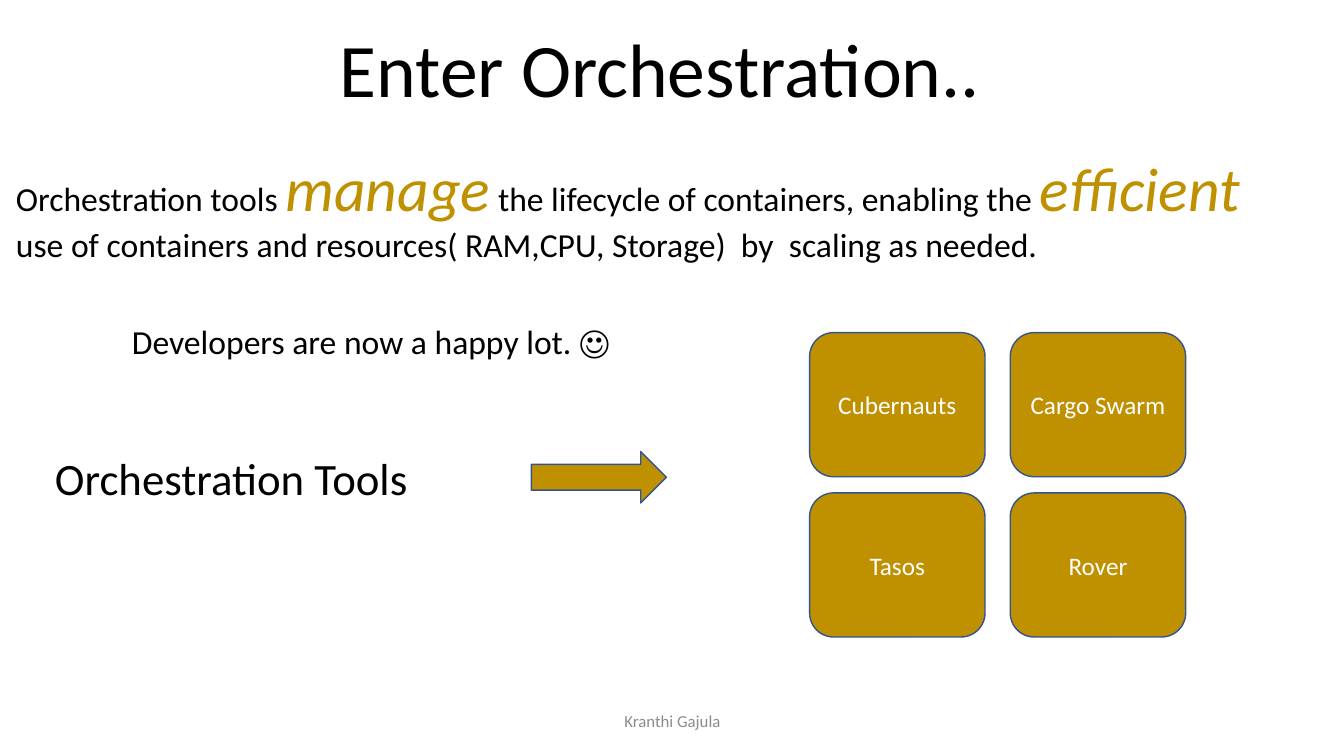
"""Build the slide that introduces container orchestration."""
from pptx import Presentation
from pptx.dml.color import RGBColor
from pptx.enum.shapes import MSO_SHAPE
from pptx.enum.text import MSO_ANCHOR, MSO_AUTO_SIZE, PP_ALIGN
from pptx.util import Inches, Pt

BLACK, WHITE, GRAY = "000000", "FFFFFF", "8C8C8C"
GOLD, NAVY = "BF9000", "325491"


def color(hex_code):
    return RGBColor.from_string(hex_code)


class SlideBuilder:
    font = "Calibri"

    def __init__(self, slide):
        self.slide = slide

    def style_run(self, run, size, hex_code, italic=False):
        run.font.name = self.font
        run.font.size = Pt(size)
        run.font.color.rgb = color(hex_code)
        run.font.italic = italic

    def fill_text(self, frame, text, size, hex_code, align, anchor):
        frame.text = text
        frame.word_wrap = True
        frame.auto_size = MSO_AUTO_SIZE.NONE
        frame.vertical_anchor = anchor
        for paragraph in frame.paragraphs:
            paragraph.alignment = align
            for run in paragraph.runs:
                self.style_run(run, size, hex_code)

    def title(self, text, left, top, width, height, size):
        heading = self.slide.shapes.title
        heading.left, heading.top = Inches(left), Inches(top)
        heading.width, heading.height = Inches(width), Inches(height)
        self.fill_text(heading.text_frame, text, size, BLACK, PP_ALIGN.CENTER, MSO_ANCHOR.TOP)

    def text(self, text, left, top, width, height, size, hex_code=BLACK,
             align=PP_ALIGN.LEFT, anchor=MSO_ANCHOR.TOP):
        frame = self.slide.shapes.add_textbox(
            Inches(left), Inches(top), Inches(width), Inches(height)).text_frame
        self.fill_text(frame, text, size, hex_code, align, anchor)
        return frame

    def emphasized(self, lines, left, top, width, height, size, strong_size):
        frame = self.text("\n".join("" for _ in lines), left, top, width, height, size)
        frame.word_wrap = False
        for paragraph, parts in zip(frame.paragraphs, lines):
            for words, strong in parts:
                run = paragraph.add_run()
                run.text = words
                self.style_run(run, strong_size if strong else size,
                               GOLD if strong else BLACK, strong)

    def shape(self, preset, left, top, width, height, text=""):
        block = self.slide.shapes.add_shape(
            preset, Inches(left), Inches(top), Inches(width), Inches(height))
        block.shadow.inherit = False
        block.fill.solid()
        block.fill.fore_color.rgb = color(GOLD)
        block.line.color.rgb = color(NAVY)
        block.line.width = Pt(1)
        self.fill_text(block.text_frame, text, 18, WHITE, PP_ALIGN.CENTER, MSO_ANCHOR.MIDDLE)


deck = Presentation()
deck.slide_width, deck.slide_height = Inches(13.33), Inches(7.5)
builder = SlideBuilder(deck.slides.add_slide(deck.slide_layouts[5]))

builder.title("Enter Orchestration..", 0.26, 0.17, 12.57, 1.01, 54)
builder.emphasized(
    [[("Orchestration tools ", False), ("manage", True),
      (" the lifecycle of containers, enabling the ", False),
      ("efficient", True), (" ", False)],
     [("use of containers and resources( RAM,CPU, Storage)  by  scaling as needed.", False)]],
    0.06, 1.44, 12.55, 1.25, 24, 44)
builder.text("Developers are now a happy lot. \u263a", 1.21, 3.13, 4.96, 0.5, 24)
builder.text("Orchestration Tools", 0.26, 4.42, 4.07, 0.64, 32, align=PP_ALIGN.CENTER)
builder.shape(MSO_SHAPE.RIGHT_ARROW, 5.27, 4.48, 1.34, 0.51)

tool_rows = [["Cubernauts", "Cargo Swarm"], ["Tasos", "Rover"]]
for row, tools in enumerate(tool_rows):
    for column, tool in enumerate(tools):
        builder.shape(MSO_SHAPE.ROUNDED_RECTANGLE,
                      8.03 + 1.99 * column, 3.3 + 1.59 * row, 1.74, 1.43, tool)

builder.text("Kranthi Gajula", 4.42, 6.95, 4.5, 0.4, 12, GRAY,
             PP_ALIGN.CENTER, MSO_ANCHOR.MIDDLE)

deck.save("out.pptx")
